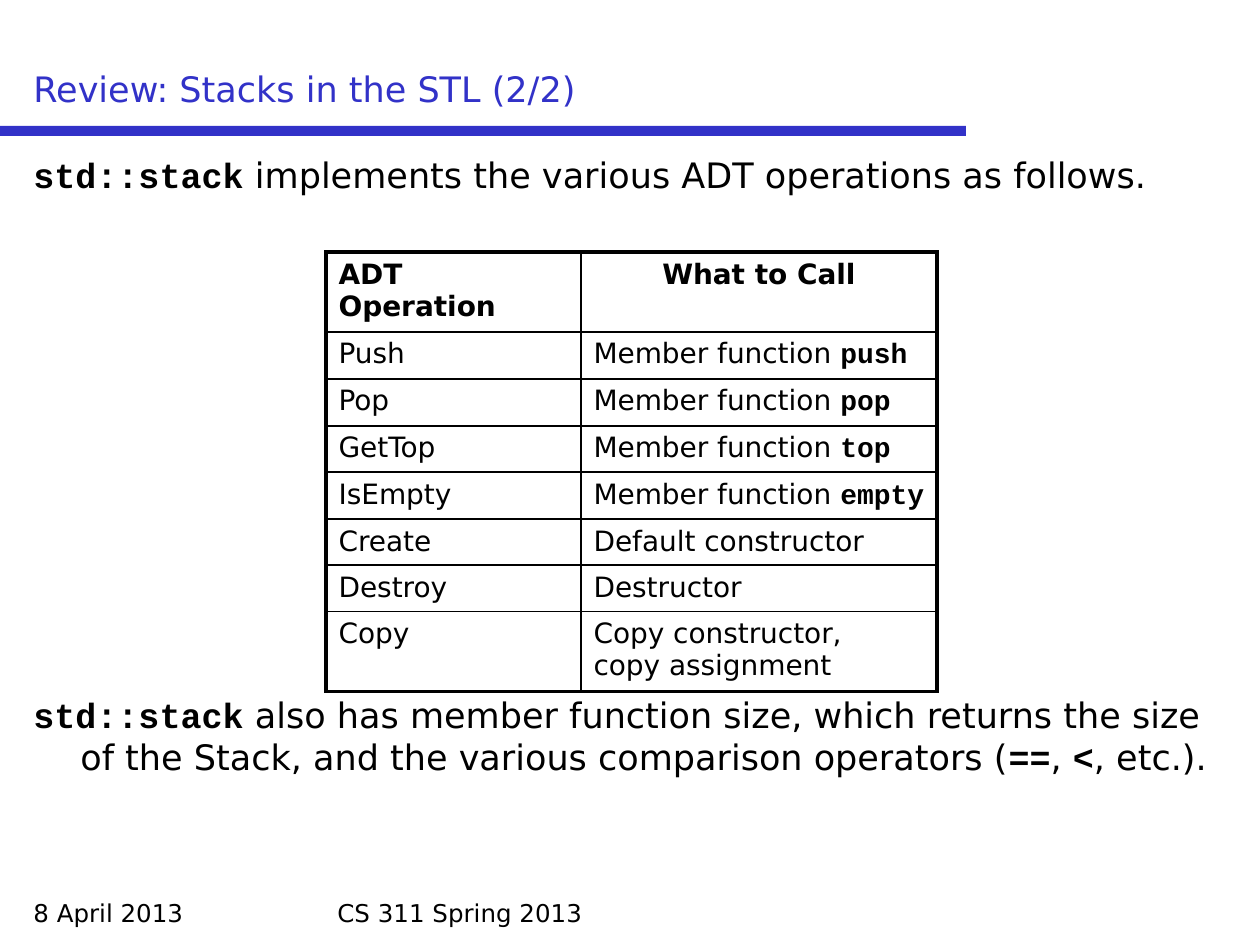
from lxml import etree
from pptx import Presentation
from pptx.dml.color import RGBColor
from pptx.enum.shapes import MSO_SHAPE as Shape
from pptx.enum.text import MSO_ANCHOR as Anchor, PP_ALIGN as Align
from pptx.oxml.ns import qn
from pptx.util import Pt

PX = 914400 // 126
BLUE = RGBColor(0x32, 0x32, 0xC8)
BLACK = RGBColor(0, 0, 0)


def write(paragraph, marked, size, color=BLACK, bold=False):
    for number, line in enumerate(marked.split("\n")):
        if number:
            paragraph.add_line_break()
        for index, part in enumerate(line.split("`")):
            if part:
                is_code = index % 2 == 1
                run = paragraph.add_run()
                run.text = part
                run.font.name = "Courier New" if is_code else "DejaVu Sans"
                run.font.size = Pt(size)
                run.font.bold = bold or is_code
                run.font.color.rgb = color


def draw_border(cell, side, width):
    line = etree.SubElement(cell._tc.get_or_add_tcPr(), qn(f"a:ln{side}"), w=str(Pt(width)))
    fill = etree.SubElement(line, qn("a:solidFill"))
    etree.SubElement(fill, qn("a:srgbClr"), val=str(BLACK))


deck = Presentation()
deck.slide_width = 1260 * PX
deck.slide_height = 945 * PX
slide = deck.slides.add_slide(deck.slide_layouts[6])

title_rule = slide.shapes.add_shape(Shape.RECTANGLE, 0, 126 * PX, 966 * PX, 10 * PX)
title_rule.shadow.inherit = False
title_rule.fill.solid()
title_rule.fill.fore_color.rgb = BLUE
title_rule.line.fill.background()

texts = [
    ("Review: Stacks in the STL (2/2)", 21, 21, 1218, 95, 20, BLUE, Anchor.BOTTOM, 0),
    ("`std::stack` implements the various ADT operations as follows.",
     21, 147, 1218, 60, 20, BLACK, Anchor.TOP, 47),
    ("`std::stack` also has member function size, which returns the size of the Stack, "
     "and the various comparison operators (`==`, `<`, etc.).",
     21, 687, 1218, 100, 20, BLACK, Anchor.TOP, 47),
    ("8 April 2013", 21, 892, 294, 42, 14, BLACK, Anchor.TOP, 0),
    ("CS 311 Spring 2013", 325, 892, 609, 42, 14, BLACK, Anchor.TOP, 0),
]
for marked, left, top, width, height, size, color, anchor, hanging in texts:
    frame = slide.shapes.add_textbox(left * PX, top * PX, width * PX, height * PX).text_frame
    frame.word_wrap = True
    frame.vertical_anchor = anchor
    paragraph = frame.paragraphs[0]
    if hanging:
        properties = paragraph._p.get_or_add_pPr()
        properties.set("marL", str(hanging * PX))
        properties.set("indent", str(-hanging * PX))
    write(paragraph, marked, size, color)

operations = [
    ("ADT Operation", "What to Call"),
    ("Push", "Member function `push`"),
    ("Pop", "Member function `pop`"),
    ("GetTop", "Member function `top`"),
    ("IsEmpty", "Member function `empty`"),
    ("Create", "Default constructor"),
    ("Destroy", "Destructor"),
    ("Copy", "Copy constructor,\ncopy assignment"),
]
last = len(operations) - 1
row_heights = [77, 47, 47, 46, 47, 46, 46, 80]
table = slide.shapes.add_table(
    len(operations), 2, 326 * PX, 252 * PX, 611 * PX, sum(row_heights) * PX).table
table.first_row = False
table.horz_banding = False
table.columns[0].width = 255 * PX
table.columns[1].width = 356 * PX

for row, entries in enumerate(operations):
    table.rows[row].height = row_heights[row] * PX
    for column, entry in enumerate(entries):
        cell = table.cell(row, column)
        outer_sides = {"L": column == 0, "R": column == 1, "T": row == 0, "B": row == last}
        for side, is_outer in outer_sides.items():
            draw_border(cell, side, 2.25 if is_outer else 1)
        cell.fill.background()
        write(cell.text_frame.paragraphs[0], entry, 16, bold=row == 0)
table.cell(0, 1).text_frame.paragraphs[0].alignment = Align.CENTER

deck.save("out.pptx")
